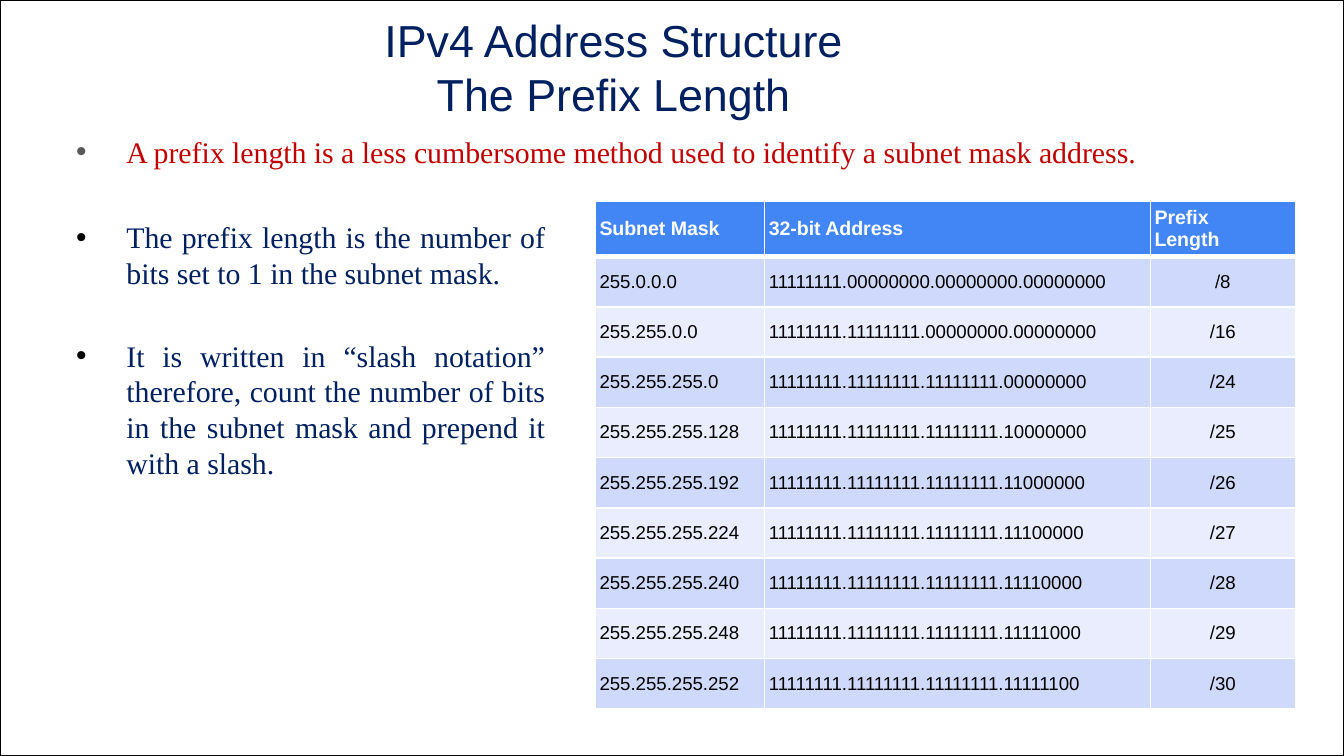
import pptx
import pptx.util
import pptx.dml.color
import pptx.enum.shapes
import pptx.enum.text
import pptx.oxml
import pptx.oxml.ns
from lxml import etree

Cm = pptx.util.Cm
Pt = pptx.util.Pt
ALIGN = pptx.enum.text.PP_ALIGN
ANCHOR = pptx.enum.text.MSO_ANCHOR
NAVY, RED, WHITE, BLACK, GREY = "002060", "C00000", "FFFFFF", "000000", "595959"
HEADER_FILL, BAND_FILLS = "4285F4", ("CFD9FB", "E9EDFD")

HEADINGS = ("Subnet Mask", "32-bit Address", "Prefix\nLength")
PREFIXES = (8, 16, 24, 25, 26, 27, 28, 29, 30)
COLUMN_WIDTHS = (3.2, 7.29, 2.74)


def color(value):
    return pptx.dml.color.RGBColor.from_string(value)


def style(para, size, name, value, bold=False):
    for span in para.runs:
        span.font.size = Pt(size)
        span.font.name = name
        span.font.bold = bold
        span.font.color.rgb = color(value)


def add_child(parent, tag, **attributes):
    child = etree.SubElement(parent, pptx.oxml.ns.qn(tag))
    for key, value in attributes.items():
        child.set(key, str(value))
    return child


def add_text_box(page, box, inset):
    frame = page.shapes.add_textbox(*(Cm(length) for length in box)).text_frame
    frame.word_wrap = True
    frame.vertical_anchor = ANCHOR.TOP
    frame.margin_left = frame.margin_right = Cm(0.25)
    frame.margin_top = frame.margin_bottom = Cm(inset)
    return frame


def add_frame(page, box):
    border = page.shapes.add_shape(
        pptx.enum.shapes.MSO_SHAPE.RECTANGLE, *(Cm(length) for length in box))
    border.shadow.inherit = False
    border.fill.background()
    border.line.color.rgb = color(BLACK)
    border.line.width = Pt(1)


def add_title(page, box, text):
    frame = add_text_box(page, box, 0.25)
    para = frame.paragraphs[0]
    para.text = text.replace("\n", "\v")
    para.alignment = ALIGN.CENTER
    style(para, 24, "Arial", NAVY)


def add_bullets(page, box, items, value, bullet, alignment):
    frame = add_text_box(page, box, 0.13)
    frame.text = "\n".join(items)
    for index, para in enumerate(frame.paragraphs):
        para.alignment = alignment
        if index:
            para.space_before = Pt(25)
        properties = para._p.get_or_add_pPr()
        properties.set("marL", str(Cm(0.95)))
        properties.set("indent", str(-Cm(0.95)))
        add_child(add_child(properties, "a:buClr"), "a:srgbClr", val=bullet)
        add_child(properties, "a:buFont", typeface="Arial")
        add_child(properties, "a:buChar", char="•")
        style(para, 16, "Times New Roman", value)


def set_borders(cell, bottom):
    properties = cell._tc.get_or_add_tcPr()
    widths = {"a:lnL": 1, "a:lnR": 1, "a:lnT": 1, "a:lnB": bottom}
    for position, (tag, width) in enumerate(widths.items()):
        line = add_child(properties, tag, w=Pt(width))
        add_child(add_child(line, "a:solidFill"), "a:srgbClr", val=WHITE)
        properties.insert(position, line)


def mask_row(prefix):
    bits = "1" * prefix + "0" * (32 - prefix)
    octets = [bits[start:start + 8] for start in range(0, 32, 8)]
    mask = ".".join(str(int(octet, 2)) for octet in octets)
    return mask, ".".join(octets), f"/{prefix}"


def add_mask_table(page, box):
    rows = [HEADINGS] + [mask_row(prefix) for prefix in PREFIXES]
    left, top, width, height = (Cm(length) for length in box)
    table = page.shapes.add_table(
        len(rows), len(HEADINGS), left, top, width, height).table
    for column, column_width in zip(table.columns, COLUMN_WIDTHS):
        column.width = Cm(column_width)
    for r, texts in enumerate(rows):
        header = r == 0
        for c, text in enumerate(texts):
            cell = table.cell(r, c)
            cell.text = text
            cell.vertical_anchor = ANCHOR.MIDDLE
            cell.margin_left = cell.margin_right = Cm(0.08)
            cell.margin_top = cell.margin_bottom = Cm(0.08)
            cell.fill.solid()
            cell.fill.fore_color.rgb = color(
                HEADER_FILL if header else BAND_FILLS[(r - 1) % 2])
            set_borders(cell, 3 if header else 1)
            for para in cell.text_frame.paragraphs:
                centred = c == 2 and not header
                para.alignment = ALIGN.CENTER if centred else ALIGN.LEFT
                style(para, 10.5 if header else 10, "Arial",
                      WHITE if header else BLACK, header)


def main():
    deck = pptx.Presentation()
    deck.slide_width, deck.slide_height = Cm(25.4), Cm(14.29)
    page = deck.slides.add_slide(deck.slide_layouts[6])

    # Page border and title
    add_frame(page, (0, 0, 25.4, 14.29))
    add_title(page, (0, 0, 23.19, 2.03),
              "IPv4 Address Structure\nThe Prefix Length")

    # Definition, then the explanation beside the table
    add_bullets(page, (1.19, 2.39, 23.01, 1.42), [
        "A prefix length is a less cumbersome method used to identify "
        "a subnet mask address."], RED, GREY, ALIGN.LEFT)
    add_bullets(page, (1.19, 4.01, 9.37, 8.53), [
        "The prefix length is the number of bits set to 1 in the subnet mask.",
        "It is written in “slash notation” therefore, count the number of "
        "bits in the subnet mask and prepend it with a slash."],
        NAVY, BLACK, ALIGN.JUSTIFY)

    # Subnet masks by prefix length
    add_mask_table(page, (11.25, 3.8, 13.23, 9.5))

    deck.save("out.pptx")


if __name__ == "__main__":
    main()
